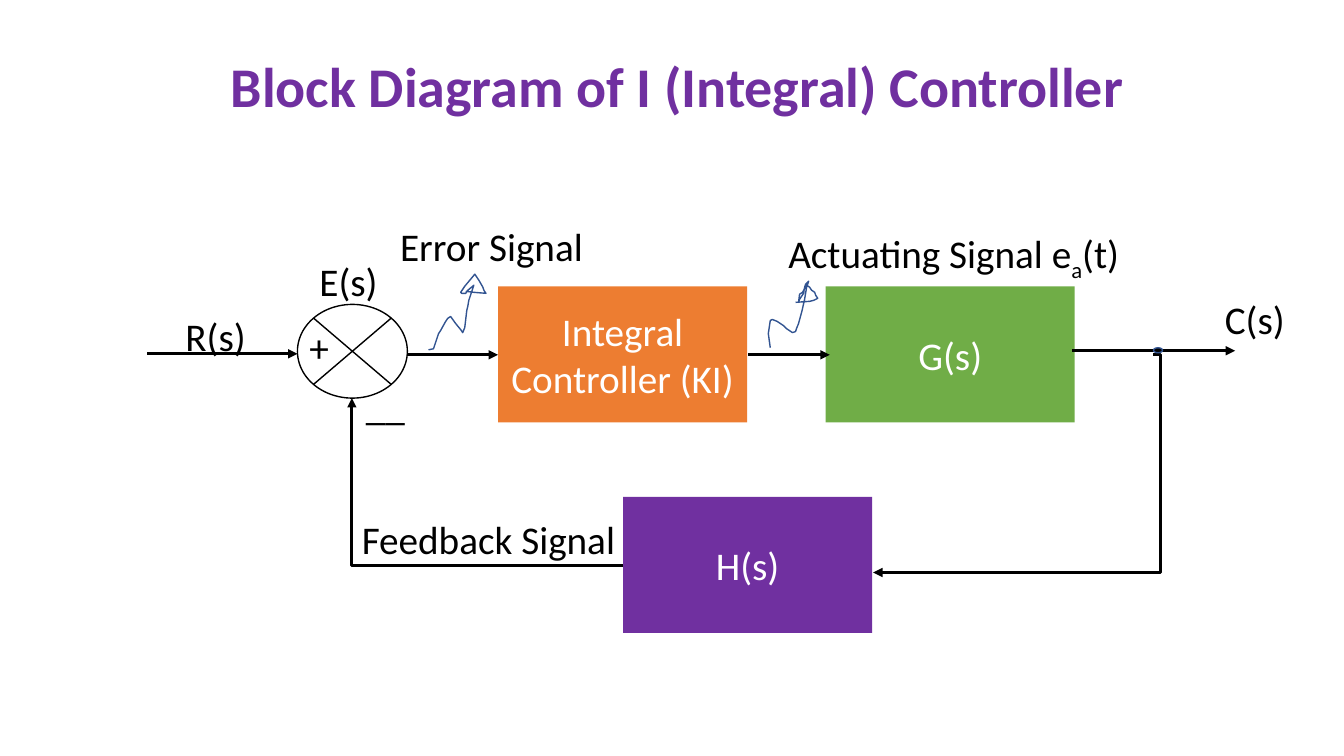
from pptx import Presentation
from pptx.dml.color import RGBColor
from pptx.enum.shapes import MSO_CONNECTOR, MSO_SHAPE
from pptx.enum.text import MSO_ANCHOR, MSO_AUTO_SIZE, PP_ALIGN
from pptx.oxml import parse_xml
from pptx.oxml.ns import nsdecls, qn
from pptx.util import Inches, Pt


def color(value):
    return RGBColor.from_string(value)


def write(shape, pieces, size, shade, align, bold=False):
    shape.text_frame.word_wrap = True
    para = shape.text_frame.paragraphs[0]
    para.alignment = align
    for words, baseline in pieces:
        span = para.add_run()
        span.text = words
        span.font.name = "Calibri"
        span.font.size = Pt(size)
        span.font.bold = bold
        span.font.color.rgb = color(shade)
        if baseline:
            span.font._element.set("baseline", str(baseline))


deck = Presentation()
deck.slide_width = Inches(13.33)
deck.slide_height = Inches(7.5)
page = deck.slides.add_slide(deck.slide_layouts[6])

blocks = [
    ("Integral Controller (KI)", 4.94, 2.84, "ED7D31"),
    ("G(s)", 8.19, 2.84, "70AD47"),
    ("H(s)", 6.18, 4.93, "7030A0"),
]
for name, left, top, fill in blocks:
    block = page.shapes.add_shape(
        MSO_SHAPE.RECTANGLE, Inches(left), Inches(top), Inches(2.47), Inches(1.35))
    block.shadow.inherit = False
    block.fill.solid()
    block.fill.fore_color.rgb = color(fill)
    block.line.fill.background()
    block.text_frame.vertical_anchor = MSO_ANCHOR.MIDDLE
    write(block, [(name, 0)], 28, "FFFFFF", PP_ALIGN.CENTER)

junction = page.shapes.add_shape(
    MSO_SHAPE.FLOWCHART_SUMMING_JUNCTION, Inches(2.95), Inches(3.02), Inches(1.09), Inches(0.93))
junction.shadow.inherit = False
junction.fill.background()
junction.line.color.rgb = color("000000")
junction.line.width = Pt(1)

arrows = [
    (MSO_CONNECTOR.STRAIGHT, 1.46, 3.51, 2.95, 3.51),
    (MSO_CONNECTOR.STRAIGHT, 4.04, 3.52, 4.94, 3.52),
    (MSO_CONNECTOR.STRAIGHT, 7.42, 3.52, 8.23, 3.52),
    (MSO_CONNECTOR.STRAIGHT, 10.63, 3.48, 12.25, 3.48),
    (MSO_CONNECTOR.ELBOW, 11.44, 3.52, 8.66, 5.68),
    (MSO_CONNECTOR.ELBOW, 6.18, 5.61, 3.49, 3.95),
]
links = []
for kind, *ends in arrows:
    link = page.shapes.add_connector(kind, *[Inches(end) for end in ends])
    link.line.color.rgb = color("000000")
    link.line.width = Pt(2.25)
    link.line._get_or_add_ln().append(parse_xml(f'<a:tailEnd {nsdecls("a")} type="triangle"/>'))
    link._element.spPr.append(parse_xml(f'<a:effectLst {nsdecls("a")}/>'))
    links.append(link)

output_bend, feedback_bend = [link._element.spPr.find(qn("a:prstGeom")) for link in links[-2:]]
output_bend.find(qn("a:avLst")).append(
    parse_xml(f'<a:gd {nsdecls("a")} name="adj1" fmla="val -2600"/>'))
feedback_bend.set("prst", "bentConnector2")

takeoff = page.shapes.add_shape(
    MSO_SHAPE.OVAL, Inches(11.44), Inches(3.45), Inches(0.09), Inches(0.05))
takeoff.shadow.inherit = False
takeoff.fill.solid()
takeoff.fill.fore_color.rgb = color("000000")
takeoff.line.color.rgb = color("325491")
takeoff.line.width = Pt(1)

actuating_squiggle = [
    (764, 345), (762, 331), (764, 318), (766, 317), (771, 319), (777, 323), (780, 326),
    (786, 330), (789, 329), (790, 326), (792, 321), (795, 310), (796, 306), (798, 297),
    (800, 285), (802, 279), (799, 282), (798, 285), (797, 291), (793, 297), (792, 300),
    (793, 292), (796, 290), (800, 283), (803, 285), (805, 288), (808, 290), (809, 293),
    (811, 296), (807, 298), (803, 299), (789, 300),
]
error_squiggle = [
    (425, 347), (430, 346), (432, 340), (434, 334), (435, 331), (437, 328), (442, 319),
    (444, 316), (447, 314), (452, 321), (457, 327), (459, 330), (461, 325), (463, 308),
    (464, 304), (465, 298), (467, 292), (468, 289), (469, 286), (470, 283), (464, 288),
    (462, 291), (458, 291), (457, 290), (461, 284), (466, 278), (471, 272), (475, 278),
    (479, 285), (480, 288), (482, 291), (470, 290), (462, 289),
]
for points in (actuating_squiggle, error_squiggle):
    builder = page.shapes.build_freeform(*points[0], scale=Inches(0.01))
    builder.add_line_segments(points[1:], close=False)
    squiggle = builder.convert_to_shape()
    squiggle.shadow.inherit = False
    squiggle.fill.background()
    squiggle.line.color.rgb = color("325491")
    squiggle.line.width = Pt(1)

labels = [
    ([("C(s)", 0)], 12.05, 2.88, 1.21),
    ([("R(s)", 0)], 1.74, 3.05, 1.21),
    ([("Feedback Signal", 0)], 3.49, 5.06, 3.22),
    ([("Error Signal", 0)], 3.87, 2.16, 3.11),
    ([("Actuating Signal e", 0), ("a", -25000), ("(t)", 0)], 7.72, 2.23, 4.08),
    ([("+", 0)], 2.97, 3.16, 0.25),
    ([("__", 0)], 3.53, 3.73, 0.89),
    ([("E(s)", 0)], 3.07, 2.5, 0.97),
]
for pieces, left, top, width in labels:
    label = page.shapes.add_textbox(Inches(left), Inches(top), Inches(width), Inches(0.57))
    label.text_frame.auto_size = MSO_AUTO_SIZE.SHAPE_TO_FIT_TEXT
    write(label, pieces, 28, "000000", PP_ALIGN.LEFT)

title = page.shapes.add_textbox(Inches(0.43), Inches(0.46), Inches(12.57), Inches(0.77))
title.text_frame.auto_size = MSO_AUTO_SIZE.SHAPE_TO_FIT_TEXT
write(title, [("Block Diagram of I (Integral) Controller", 0)], 40, "7030A0", PP_ALIGN.CENTER, True)

deck.save("out.pptx")
